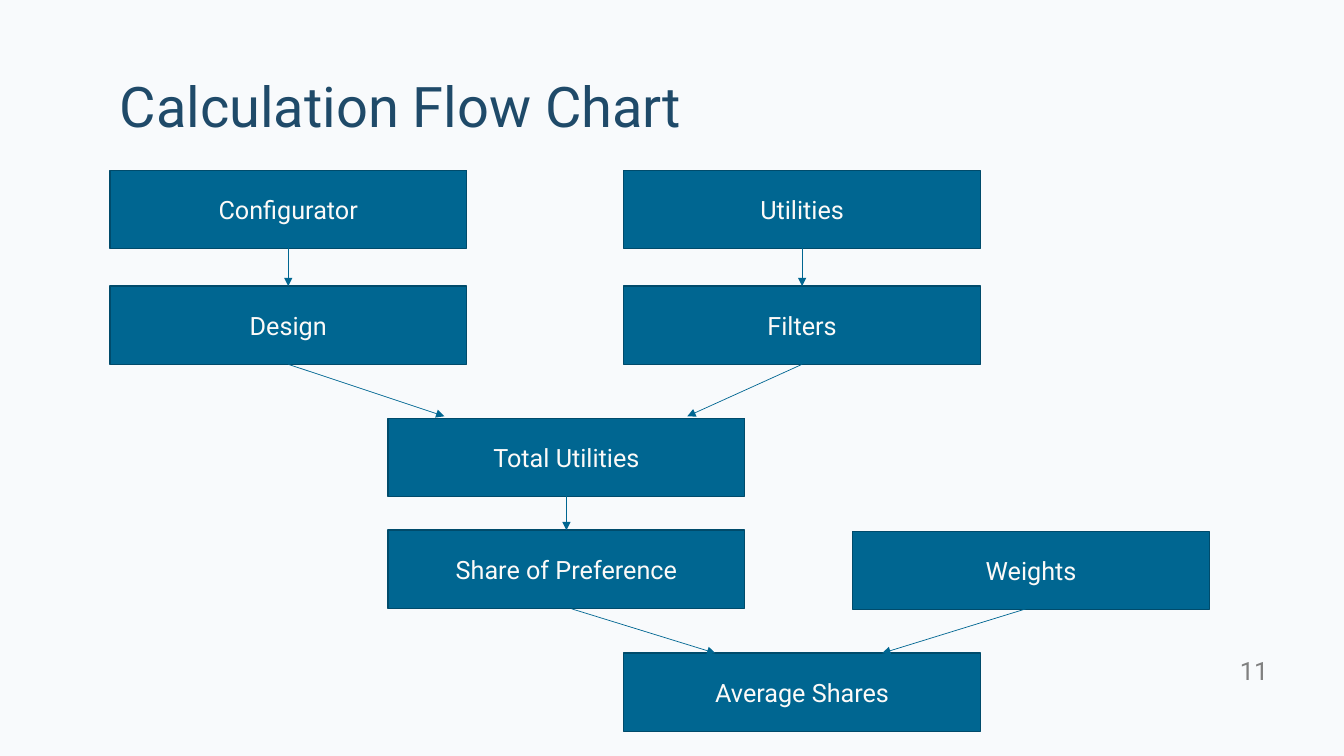
from lxml.etree import SubElement as Sub
from pptx import Presentation
from pptx.dml.color import RGBColor
from pptx.enum.shapes import MSO_CONNECTOR as Link, MSO_SHAPE as Form
from pptx.enum.text import MSO_ANCHOR as Anchor, PP_ALIGN as Align
from pptx.oxml.ns import qn
from pptx.util import Cm, Pt

PAPER = RGBColor(0xF8, 0xFA, 0xFC)
NAVY = RGBColor(0x1F, 0x4A, 0x69)
BLUE = RGBColor(0x00, 0x66, 0x91)
EDGE = RGBColor(0x00, 0x4B, 0x6B)
PALE = RGBColor(0xFC, 0xFA, 0xF8)
GRAY = RGBColor(0x80, 0x80, 0x80)
FONT = "Roboto"
WIDE, HIGH = 8.99, 1.97
TOP, BOTTOM = 0, 2

STEPS = [
    ("Configurator", 2.77, 4.29),
    ("Utilities", 15.72, 4.29),
    ("Design", 2.77, 7.21),
    ("Filters", 15.72, 7.21),
    ("Total Utilities", 9.78, 10.54),
    ("Share of Preference", 9.78, 13.36),
    ("Weights", 21.49, 13.39),
    ("Average Shares", 15.72, 16.46),
]
JOINS = [
    ("Configurator", "Design"),
    ("Utilities", "Filters"),
    ("Total Utilities", "Share of Preference"),
]
LEANS = [("Design", 11.2, 10.49), ("Filters", 17.32, 10.49)]
LOOSE = [(14.4, 15.34, 18.03, 16.46), (25.86, 15.34, 22.23, 16.46)]


def write(frame, text, size, color, align, anchor):
    frame.word_wrap = True
    frame.vertical_anchor = anchor
    para = frame.paragraphs[0]
    para.alignment = align
    run = para.add_run()
    run.text = text
    run.font.name = FONT
    run.font.size = Pt(size)
    run.font.color.rgb = color
    return para


def add_label(slide, box, *style):
    label = slide.shapes.add_textbox(*map(Cm, box))
    return write(label.text_frame, *style)


def add_step(slide, text, left, top):
    step = slide.shapes.add_shape(
        Form.FLOWCHART_PROCESS, Cm(left), Cm(top), Cm(WIDE), Cm(HIGH))
    step.shadow.inherit = False
    step.fill.solid()
    step.fill.fore_color.rgb = BLUE
    step.line.color.rgb = EDGE
    step.line.width = Pt(1)
    write(step.text_frame, text, 18, PALE, Align.CENTER, Anchor.MIDDLE)
    return step


def add_arrow(slide, ends, start=None, stop=None):
    arrow = slide.shapes.add_connector(Link.STRAIGHT, *map(Cm, ends))
    if start is not None:
        arrow.begin_connect(start, BOTTOM)
    if stop is not None:
        arrow.end_connect(stop, TOP)
    arrow.line.color.rgb = BLUE
    arrow.line.width = Pt(0.5)
    props = arrow.element.spPr
    Sub(props.find(qn("a:ln")), qn("a:tailEnd"), type="triangle")
    Sub(props, qn("a:effectLst"))


def main():
    deck = Presentation()
    deck.slide_width, deck.slide_height = Cm(33.87), Cm(19.05)
    slide = deck.slides.add_slide(deck.slide_layouts[6])
    slide.background.fill.solid()
    slide.background.fill.fore_color.rgb = PAPER

    title = add_label(slide, (2.77, 0.69, 28.07, 2.95), "Calculation Flow Chart",
                      40, NAVY, Align.LEFT, Anchor.BOTTOM)
    title.line_spacing = 0.9
    add_label(slide, (30.84, 16.38, 1.37, 1.02), "11",
              18, GRAY, Align.RIGHT, Anchor.MIDDLE)

    steps = {name: add_step(slide, name, left, top) for name, left, top in STEPS}
    for start, stop in JOINS:
        add_arrow(slide, (0, 0, 0, 0), steps[start], steps[stop])
    for start, left, top in LEANS:
        add_arrow(slide, (left, top, left, top), steps[start])
    for ends in LOOSE:
        add_arrow(slide, ends)
    deck.save("out.pptx")


if __name__ == "__main__":
    main()
